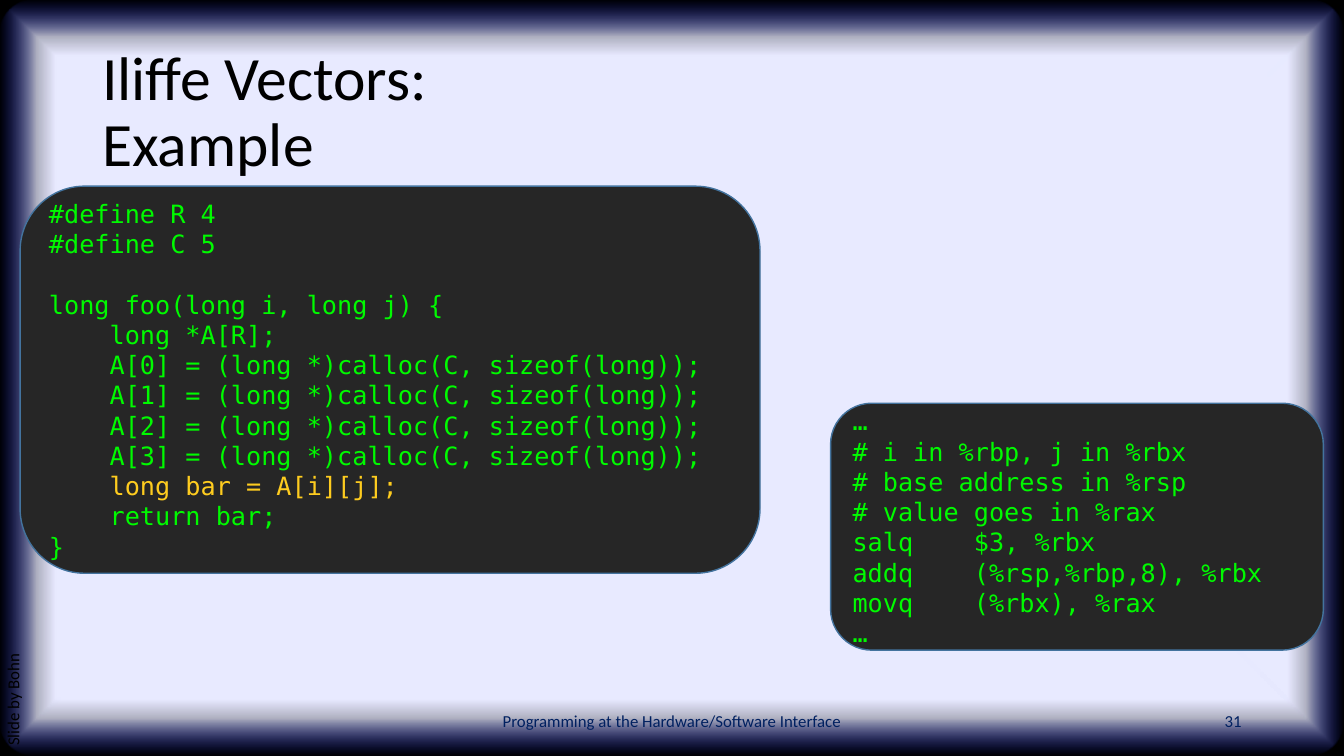
from lxml import etree
from pptx import Presentation
from pptx.dml.color import RGBColor
from pptx.enum.shapes import MSO_SHAPE
from pptx.enum.text import MSO_ANCHOR, PP_ALIGN
from pptx.oxml import parse_xml
from pptx.util import Pt

RECTANGLE = MSO_SHAPE.RECTANGLE
ROUNDED = MSO_SHAPE.ROUNDED_RECTANGLE
TOP, MIDDLE = MSO_ANCHOR.TOP, MSO_ANCHOR.MIDDLE
LEFT, CENTER, RIGHT = PP_ALIGN.LEFT, PP_ALIGN.CENTER, PP_ALIGN.RIGHT

WIDTH, HEIGHT = 960, 540
DRAWING_NS = "http://schemas.openxmlformats.org/drawingml/2006/main"
BLACK, NAVY = "000000", "002060"
CODE_GREEN, CODE_YELLOW = "00FA00", "FECC1F"
CODE_LINE_HEIGHT = 21.5
HIGHLIGHT = "long bar = A[i][j];"

C_CODE = """#define R 4
#define C 5

long foo(long i, long j) {
    long *A[R];
    A[0] = (long *)calloc(C, sizeof(long));
    A[1] = (long *)calloc(C, sizeof(long));
    A[2] = (long *)calloc(C, sizeof(long));
    A[3] = (long *)calloc(C, sizeof(long));
    long bar = A[i][j];
    return bar;
}"""

ASSEMBLY = """…
# i in %rbp, j in %rbx
# base address in %rsp
# value goes in %rax
salq    $3, %rbx
addq    (%rsp,%rbp,8), %rbx
movq    (%rbx), %rax
…"""


def color(hex_string):
    return RGBColor.from_string(hex_string)


def style(font, name, size, hex_string):
    font.name = name
    font.size = Pt(size)
    font.color.rgb = color(hex_string)


def add_panel(page, kind, frame, fill, line=None):
    panel = page.shapes.add_shape(kind, *map(Pt, frame))
    panel.shadow.inherit = False
    panel.fill.solid()
    panel.fill.fore_color.rgb = color(fill)
    if line:
        panel.line.color.rgb = color(line)
        panel.line.width = Pt(1)
    else:
        panel.line.fill.background()
    return panel


def set_glow(panel, stops):
    """Fill from the centre outwards; stops are (position, colour, opacity) in percent."""
    stop_xml = "".join(
        f'<a:gs pos="{position * 1000}"><a:srgbClr val="{value}">'
        f'<a:alpha val="{opacity * 1000}"/></a:srgbClr></a:gs>'
        for position, value, opacity in stops
    )
    gradient = parse_xml(
        f'<a:gradFill xmlns:a="{DRAWING_NS}" rotWithShape="1"><a:gsLst>{stop_xml}</a:gsLst>'
        '<a:path path="shape"><a:fillToRect l="50000" t="50000" r="50000" b="50000"/>'
        "</a:path></a:gradFill>"
    )
    properties = panel.element.spPr
    solid = properties.find(etree.QName(DRAWING_NS, "solidFill").text)
    properties.replace(solid, gradient)


def add_background(page):
    frame = (0, 0, WIDTH, HEIGHT)
    add_panel(page, RECTANGLE, frame, BLACK)
    glow = add_panel(page, ROUNDED, frame, "E8EAFF")
    glow.adjustments[0] = 0.048
    set_glow(glow, [(85, "E8EAFF", 100), (90, "E8EAFF", 75), (100, "162AFF", 0)])


def add_label(page, text, frame, size, hex_string, align=LEFT, anchor=MIDDLE, spacing=1.0):
    box = page.shapes.add_textbox(*map(Pt, frame))
    box.text_frame.word_wrap = True
    box.text_frame.vertical_anchor = anchor
    para = box.text_frame.paragraphs[0]
    para.text = text
    para.alignment = align
    para.line_spacing = spacing
    for span in para.runs:
        style(span.font, "Calibri", size, hex_string)
    return box


def add_code(page, code, frame):
    """Blank code lines become space before the next line."""
    panel = add_panel(page, ROUNDED, frame, "262626", "43739E")
    text_frame = panel.text_frame
    text_frame.word_wrap = True
    text_frame.vertical_anchor = MIDDLE
    para, gap = text_frame.paragraphs[0], 0
    for number, line in enumerate(code.splitlines()):
        if not line:
            gap += CODE_LINE_HEIGHT
            continue
        if number:
            para = text_frame.add_paragraph()
        para.alignment = LEFT
        para.space_before = Pt(gap)
        gap = 0
        before, highlight, after = line.partition(HIGHLIGHT)
        for text in filter(None, (before, highlight, after)):
            span = para.add_run()
            span.text = text
            hex_string = CODE_YELLOW if text == HIGHLIGHT else CODE_GREEN
            style(span.font, "DejaVu Sans Mono", 18, hex_string)


def main():
    deck = Presentation()
    deck.slide_width, deck.slide_height = Pt(WIDTH), Pt(HEIGHT)
    page = deck.slides.add_slide(deck.slide_layouts[6])
    add_background(page)
    add_label(page, "Iliffe Vectors:\nExample", (66, 28.8, 828, 104.4), 44, BLACK, spacing=0.9)
    add_label(page, "Programming at the Hardware/Software Interface",
              (318, 500.5, 324, 28.8), 12, NAVY, CENTER)
    add_label(page, "31", (678, 500.5, 216, 28.8), 12, NAVY, RIGHT)
    credit = add_label(page, "Slide by Bohn", (-175.7, 335.5, 380, 28.8), 12, BLACK,
                       anchor=TOP, spacing=0.9)
    credit.rotation = 270
    add_code(page, C_CODE, (14.4, 133, 528.5, 276.5))
    add_code(page, ASSEMBLY, (593.3, 288, 352, 176.4))
    deck.save("out.pptx")


if __name__ == "__main__":
    main()
